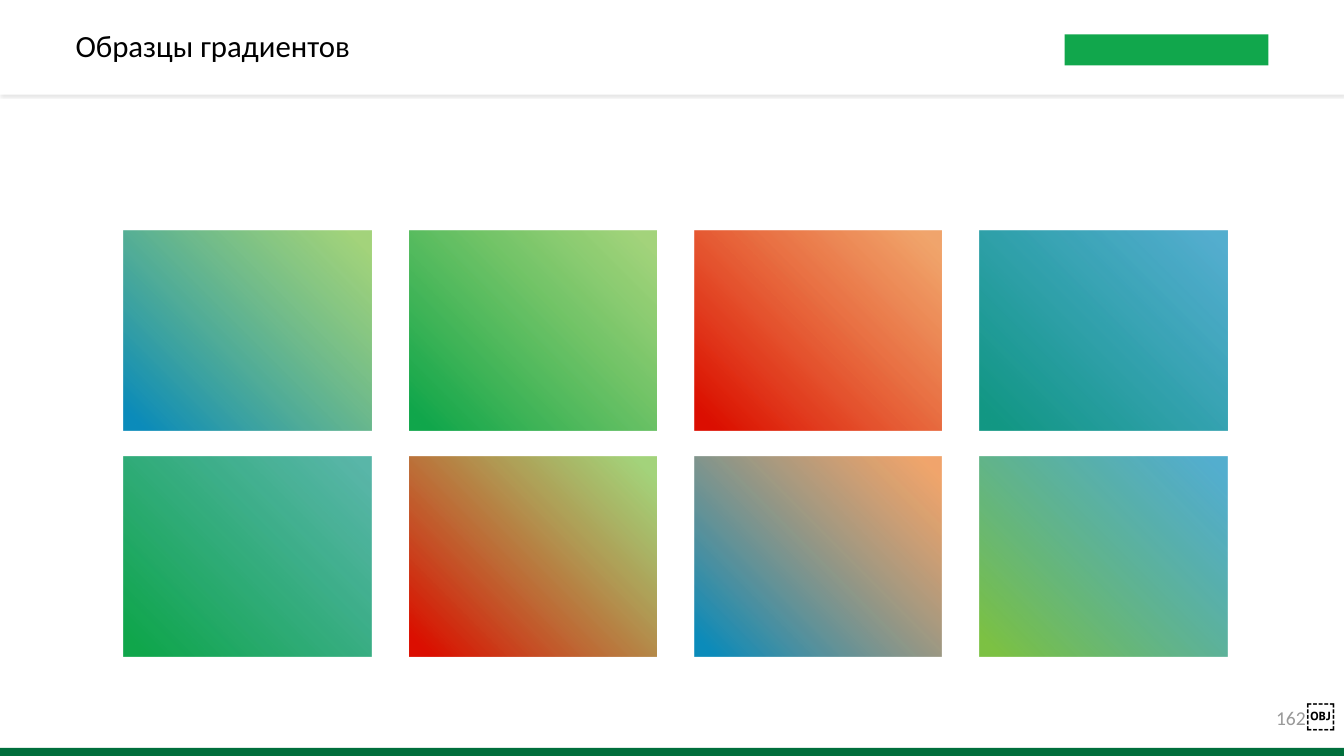
from dataclasses import dataclass

from lxml import etree
from pptx import Presentation
from pptx.dml.color import RGBColor
from pptx.enum.shapes import MSO_SHAPE
from pptx.enum.text import MSO_ANCHOR, MSO_AUTO_SIZE, PP_ALIGN
from pptx.oxml.ns import qn
from pptx.shapes.autoshape import Shape
from pptx.slide import Slide
from pptx.util import Inches, Pt

RECT = MSO_SHAPE.RECTANGLE
MIDDLE = MSO_ANCHOR.MIDDLE
FIXED = MSO_AUTO_SIZE.NONE
LEFT, CENTER = PP_ALIGN.LEFT, PP_ALIGN.CENTER

WIDE, HIGH = 13.33, 7.5
COLORS = {
    "white": "FFFFFF", "black": "000000", "gray": "999999",
    "shade": "8A8A8A", "forest": "006F3C", "blue": "0C8CBB",
    "green": "11A74C", "lime": "7DC244", "red": "DC0F00",
    "orange": "EB7F2E", "teal": "139884",
}


@dataclass
class Swatch:
    start: str
    end: str


SWATCHES = [
    Swatch("blue", "lime"), Swatch("green", "lime"),
    Swatch("red", "orange"), Swatch("teal", "blue"),
    Swatch("green", "teal"), Swatch("red", "lime"),
    Swatch("blue", "orange"), Swatch("lime", "blue"),
]
COLS = 4
GRID_X, GRID_Y = 1.23, 2.29
STEP_X, STEP_Y = 2.83, 2.24
TILE_W, TILE_H = 2.45, 1.98


def rgb(color: str) -> RGBColor:
    return RGBColor.from_string(COLORS[color])


def add_rect(slide: Slide, x: float, y: float, w: float, h: float) -> Shape:
    shape = slide.shapes.add_shape(
        RECT, Inches(x), Inches(y), Inches(w), Inches(h))
    shape.shadow.inherit = False
    shape.line.fill.background()
    return shape


def add_bar(slide: Slide, x: float, y: float, w: float, h: float,
            color: str) -> Shape:
    bar = add_rect(slide, x, y, w, h)
    bar.fill.solid()
    bar.fill.fore_color.rgb = rgb(color)
    return bar


def set_alpha(color: etree._Element, percent: int) -> None:
    etree.SubElement(color, qn("a:alpha"), val=str(percent * 1000))


def add_shadow(shape: Shape) -> None:
    effects = shape._element.spPr.find(qn("a:effectLst"))
    outer = etree.SubElement(
        effects, qn("a:outerShdw"), blurRad=str(Pt(1)), dist=str(Pt(2)),
        dir=str(90 * 60000), algn="t", rotWithShape="0")
    color = etree.SubElement(outer, qn("a:srgbClr"), val=COLORS["shade"])
    set_alpha(color, 20)


def add_swatch(slide: Slide, x: float, y: float, swatch: Swatch) -> None:
    tile = add_rect(slide, x, y, TILE_W, TILE_H)
    tile.fill.gradient()
    tile.fill.gradient_angle = 45
    first, last = tile.fill.gradient_stops
    first.position, last.position = 0.05, 0.95
    first.color.rgb = rgb(swatch.start)
    last.color.rgb = rgb(swatch.end)
    end = list(tile._element.spPr.iter(qn("a:srgbClr")))[-1]
    set_alpha(end, 70)


def add_text(shape: Shape, text: str, *, size: float, color: str,
             font: str = "Calibri", align: PP_ALIGN = LEFT) -> None:
    """Append a run to the first paragraph of the shape."""
    frame = shape.text_frame
    frame.word_wrap = True
    frame.auto_size = FIXED
    frame.vertical_anchor = MIDDLE
    para = frame.paragraphs[0]
    para.alignment = align
    run = para.add_run()
    run.text = text
    run.font.name = font
    run.font.size = Pt(size)
    run.font.color.rgb = rgb(color)


def add_title(slide: Slide, text: str) -> None:
    title = slide.shapes.title
    title.left, title.top = Inches(0.65), Inches(0)
    title.width, title.height = Inches(9.84), Inches(0.94)
    add_text(title, text, size=22, color="black")
    title.text_frame.paragraphs[0].line_spacing = 0.9
    # The title must lie in front of the white header
    slide.shapes._spTree.append(title._element)


def add_number(slide: Slide) -> None:
    box = slide.shapes.add_textbox(
        Inches(12.57), Inches(6.91), Inches(0.76), Inches(0.35))
    frame = box.text_frame
    frame.margin_left = frame.margin_right = 0
    frame.margin_top = frame.margin_bottom = 0
    add_text(box, "162", size=14, color="gray", align=CENTER)
    add_text(box, "￼", size=21, color="black", font="Cabin", align=CENTER)


def main() -> None:
    deck = Presentation()
    deck.slide_width, deck.slide_height = Inches(WIDE), Inches(HIGH)
    slide = deck.slides.add_slide(deck.slide_layouts[5])

    add_bar(slide, 0, 7.42, WIDE, HIGH - 7.42, "forest")
    add_number(slide)
    header = add_bar(slide, 0, 0, WIDE, 0.94, "white")
    add_shadow(header)
    add_bar(slide, 10.56, 0.34, 2.02, 0.31, "green")
    add_title(slide, "Образцы градиентов")

    for i, swatch in enumerate(SWATCHES):
        row, col = divmod(i, COLS)
        add_swatch(slide, GRID_X + col * STEP_X, GRID_Y + row * STEP_Y, swatch)

    deck.save("out.pptx")


if __name__ == "__main__":
    main()
